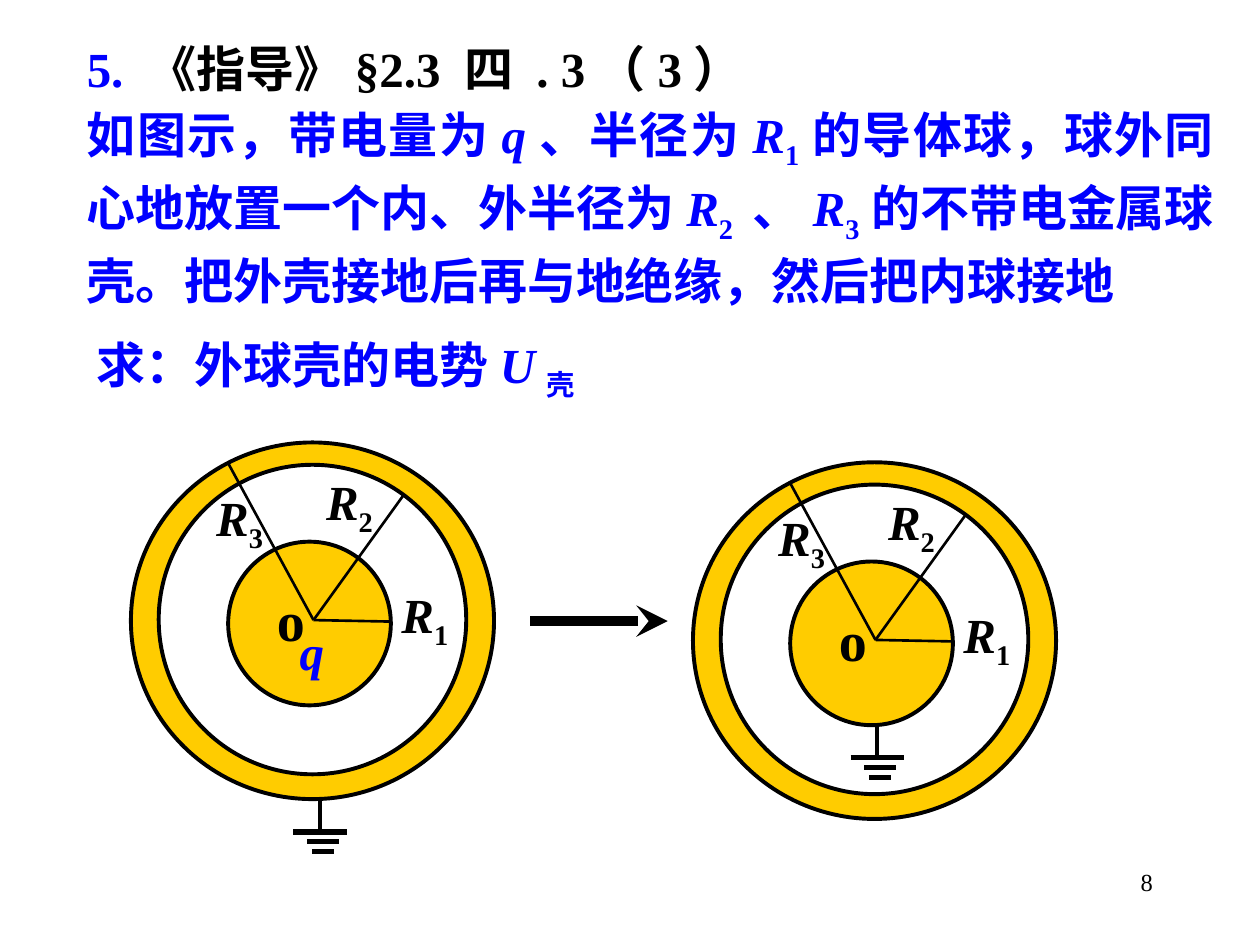
from dataclasses import dataclass

from lxml import etree
from pptx import Presentation
from pptx.dml.color import RGBColor
from pptx.enum.shapes import MSO_CONNECTOR, MSO_SHAPE
from pptx.enum.text import MSO_ANCHOR, MSO_AUTO_SIZE, PP_ALIGN
from pptx.oxml.ns import qn
from pptx.util import Cm, Pt

OVAL = MSO_SHAPE.OVAL
STRAIGHT = MSO_CONNECTOR.STRAIGHT
MIDDLE, TOP = MSO_ANCHOR.MIDDLE, MSO_ANCHOR.TOP
GROW = MSO_AUTO_SIZE.SHAPE_TO_FIT_TEXT
LEFT, CENTER, RIGHT, JUSTIFY = (
    PP_ALIGN.LEFT, PP_ALIGN.CENTER, PP_ALIGN.RIGHT, PP_ALIGN.JUSTIFY)


@dataclass(frozen=True)
class Theme:
    font: str = "Times New Roman"
    black: RGBColor = RGBColor(0, 0, 0)
    blue: RGBColor = RGBColor(0, 0, 255)
    white: RGBColor = RGBColor(255, 255, 255)
    metal: RGBColor = RGBColor(255, 204, 0)
    body: int = 28
    center: int = 32
    number: int = 14


T = Theme()


def run(text, color=T.black, size=T.body, bold=True, italic=False, sub=False):
    return text, color, size, bold, italic, sub


def blue(text, **style):
    return run(text, T.blue, **style)


def symbol(letter, index, color=T.black):
    """An italic letter with an upright subscript."""
    return [run(letter, color, italic=True), run(index, color, sub=True)]


def add_text(shapes, x, y, w, h, paragraphs, align=CENTER, wrap=True,
             spacing=None, anchor=MIDDLE, grow=True):
    tf = shapes.add_textbox(Cm(x), Cm(y), Cm(w), Cm(h)).text_frame
    tf.word_wrap = wrap
    tf.vertical_anchor = anchor
    if grow:
        tf.auto_size = GROW
    for i, runs in enumerate(paragraphs):
        p = tf.add_paragraph() if i else tf.paragraphs[0]
        p.alignment = align
        if spacing:
            p.line_spacing = spacing
        for text, color, size, bold, italic, sub in runs:
            r = p.add_run()
            r.text = text
            f = r.font
            f.name, f.size, f.bold, f.italic = T.font, Pt(size), bold, italic
            f.color.rgb = color
            if sub:
                r._r.get_or_add_rPr().set("baseline", "-25000")


def add_circle(shapes, x, y, w, h, fill):
    sp = shapes.add_shape(OVAL, Cm(x), Cm(y), Cm(w), Cm(h))
    sp.shadow.inherit = False
    sp.fill.solid()
    sp.fill.fore_color.rgb = fill
    sp.line.color.rgb = T.black
    sp.line.width = Pt(2.25)


def add_line(shapes, x1, y1, x2, y2, width, arrow=False):
    c = shapes.add_connector(STRAIGHT, Cm(x1), Cm(y1), Cm(x2), Cm(y2))
    c.line.color.rgb = T.black
    c.line.width = Pt(width)
    if arrow:
        etree.SubElement(c.line._get_or_add_ln(), qn("a:tailEnd"), type="stealth")
    etree.SubElement(c._element.spPr, qn("a:effectLst"))


def add_ground(shapes, x, y):
    """A stem with three shrinking bars below it."""
    bar_y = y + 0.64
    add_line(shapes, x, y, x, bar_y, 2.25)
    for i, (shift, width) in enumerate([(0, 1.07), (0.06, 0.64), (0.06, 0.43)]):
        left, level = x + shift - width / 2, bar_y + 0.2 * i
        add_line(shapes, left, level, left + width, level, 3)


def add_sphere(s, ox, oy, ground, charged):
    """Ball inside a shell; all offsets start at the centre (ox, oy)."""
    shapes = s.shapes.add_group_shape().shapes
    # Shell, cavity, ball
    for dx, dy, w, h, fill in [(-3.68, -3.58, 7.32, 7.19, T.metal),
                               (-3.12, -3.13, 6.2, 6.24, T.white),
                               (-1.72, -1.58, 3.28, 3.3, T.metal)]:
        add_circle(shapes, ox + dx, oy + dy, w, h, fill)
    # Radii
    for dx, dy in [(1.55, 0.03), (1.83, -2.54), (-1.73, -3.18)]:
        add_line(shapes, ox, oy, ox + dx, oy + dy, 1.5)
    # Labels
    labels = [(-0.99, -0.84, 1.07, 1.63, [run("o", size=T.center)]),
              (-2.43, -2.8, 1.88, 1.6, symbol("R", "3")),
              (0, -3.12, 1.45, 1.6, symbol("R", "2")),
              (1.52, -0.84, 1.45, 1.6, symbol("R", "1"))]
    if charged:
        labels.append((-0.53, -0.1, 0.99, 1.45, [blue("q", italic=True)]))
    for dx, dy, w, h, runs in labels:
        add_text(shapes, ox + dx, oy + dy, w, h, [runs], wrap=False)
    add_ground(shapes, ox + ground[0], oy + ground[1])


def add_problem(s):
    heading = [blue("5. "), run("《指导》§2.3 四 . 3（3）")]
    statement = [
        blue("如图示，带电量为"), blue("q", italic=True), blue("、半径为"),
        *symbol("R", "1", T.blue),
        blue("的导体球，球外同心地放置一个内、外半径为"),
        *symbol("R", "2 ", T.blue), blue("、"), *symbol("R", "3", T.blue),
        blue("的不带电金属球壳。把外壳接地后再与地绝缘，然后把内球接地")]
    question = [blue("求：外球壳的电势"), *symbol("U", "壳", T.blue),
                run(" ", size=T.center, sub=True)]
    add_text(s.shapes, 1.5, 0.53, 23.22, 5.84, [heading, statement],
             JUSTIFY, spacing=1.1)
    add_text(s.shapes, 1.7, 6.32, 14.38, 1.96, [question], LEFT, spacing=1.1)


def main():
    prs = Presentation()
    prs.slide_width, prs.slide_height = Cm(25.4), Cm(19.05)
    s = prs.slides.add_slide(prs.slide_layouts[6])
    add_problem(s)
    # Shell grounded first, then the inner ball
    add_sphere(s, 6.32, 12.5, ground=(0.13, 3.63), charged=True)
    add_line(s.shapes, 10.69, 12.52, 13.46, 12.52, 6, arrow=True)
    add_sphere(s, 17.65, 12.9, ground=(0.03, 1.73), charged=False)
    # Slide number
    add_text(s.shapes, 18.21, 17.35, 5.28, 1.27,
             [[run("8", size=T.number, bold=False)]], RIGHT,
             anchor=TOP, grow=False)
    prs.save("out.pptx")


if __name__ == "__main__":
    main()
